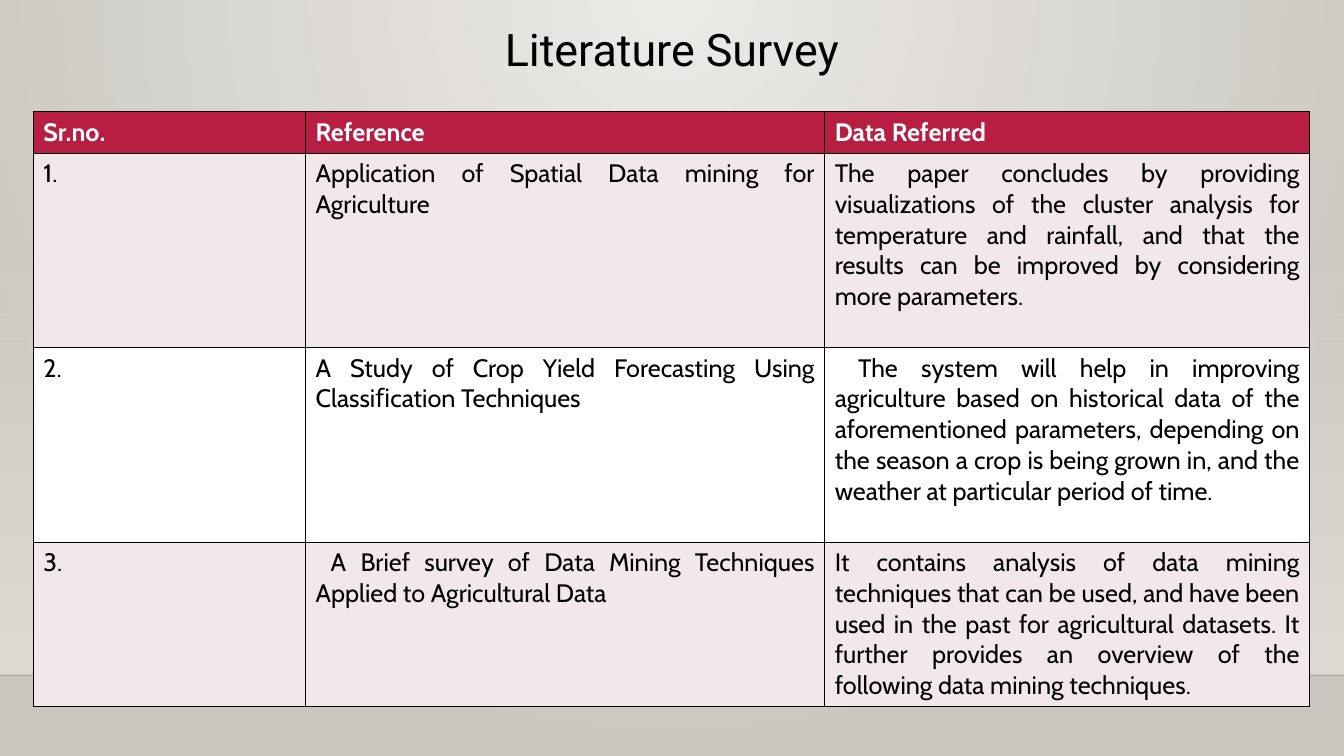
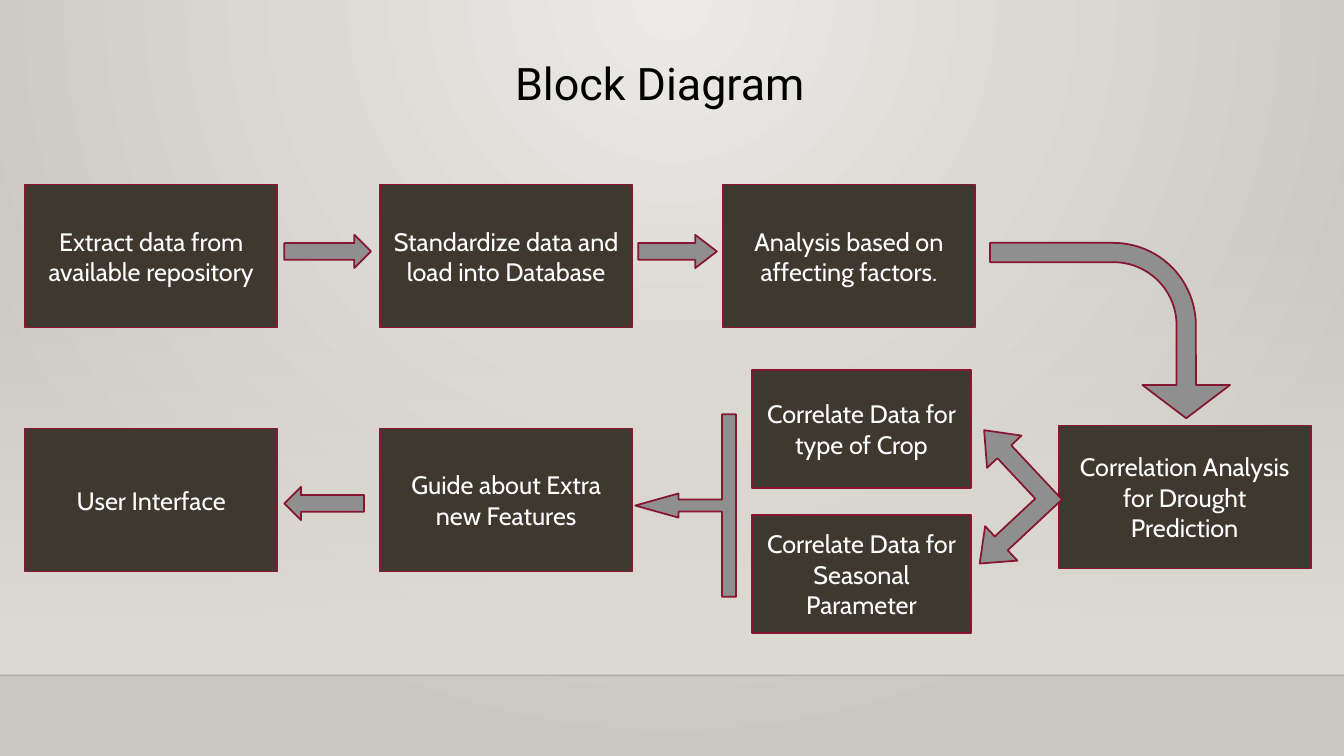
from lxml import etree
from pptx import Presentation
from pptx.dml.color import RGBColor
from pptx.enum.shapes import MSO_CONNECTOR, MSO_SHAPE
from pptx.enum.text import MSO_ANCHOR, PP_ALIGN
from pptx.oxml.ns import qn
from pptx.util import Emu, Pt

RECTANGLE = MSO_SHAPE.RECTANGLE
RIGHT_ARROW = MSO_SHAPE.RIGHT_ARROW
LEFT_ARROW = MSO_SHAPE.LEFT_ARROW
BENT_ARROW = MSO_SHAPE.BENT_ARROW
LEFT_UP_ARROW = MSO_SHAPE.LEFT_UP_ARROW
ARROW_CALLOUT = MSO_SHAPE.RIGHT_ARROW_CALLOUT
STRAIGHT = MSO_CONNECTOR.STRAIGHT
CENTER, JUSTIFY = PP_ALIGN.CENTER, PP_ALIGN.JUSTIFY
TOP, MIDDLE = MSO_ANCHOR.TOP, MSO_ANCHOR.MIDDLE

EMU_PER_PX = 9144  # 100 px to the inch
SLIDE_WIDTH, SLIDE_HEIGHT = 1333, 750
FLOOR_TOP = 670

BODY_FONT, TITLE_FONT = "Cabin", "Roboto"
BLACK, WHITE = "000000", "FFFFFF"
GLOW, EDGE, BAND = "ECEAE7", "CAC7C1", "DFDBD5"
FLOOR_LINE = "000001"
CRIMSON, BLUSH = "B71E42", "F3E8E9"
BLOCK_FILL, ARROW_FILL, OUTLINE = "3E382F", "8F8F8F", "871631"

SURVEY_COLUMNS = [270, 515, 481]
SURVEY_ROWS = [41, 193, 193, 162]
SURVEY = [
    ["Sr.no.", "Reference", "Data Referred"],
    ["1.", "Application of Spatial Data mining for Agriculture",
     "The paper concludes by providing visualizations of the cluster analysis "
     "for temperature and rainfall, and that the results can be improved by "
     "considering more parameters."],
    ["2.", "A Study of Crop Yield Forecasting Using Classiﬁcation Techniques",
     "The system will help in improving agriculture based on historical data "
     "of the aforementioned parameters, depending on the season a crop is "
     "being grown in, and the weather at particular period of time."],
    ["3.", "A Brief survey of Data Mining Techniques Applied to Agricultural Data",
     "It contains analysis of data mining techniques that can be used, and "
     "have been used in the past for agricultural datasets. It further "
     "provides an overview of the following data mining techniques."],
]
FIRST_LINE_INDENTS = {(2, 2): 23, (3, 1): 15}

LARGE_BLOCK, SMALL_BLOCK = (250, 142), (217, 117)
BLOCKS = [
    ("Extract data from available repository", 25, 183, LARGE_BLOCK),
    ("Standardize data and load into Database", 377, 183, LARGE_BLOCK),
    ("Analysis based on affecting factors.", 717, 183, LARGE_BLOCK),
    ("Correlation Analysis for Drought Prediction", 1050, 422, LARGE_BLOCK),
    ("Correlate Data for Seasonal Parameter", 746, 511, SMALL_BLOCK),
    ("Correlate Data for type of Crop", 746, 367, SMALL_BLOCK),
    ("Guide about Extra new Features", 377, 425, LARGE_BLOCK),
    ("User Interface", 25, 425, LARGE_BLOCK),
]
# preset, box, rotation, adjustments
ARROWS = [
    (RIGHT_ARROW, (282, 233, 86, 33), 0, []),
    (RIGHT_ARROW, (633, 233, 78, 33), 0, [0.5, 0.65]),
    (BENT_ARROW, (1014, 209, 174, 238), 90, [0.11, 0.25, 0.19, 0.47]),
    (LEFT_UP_ARROW, (932, 435, 117, 117), 316.9, [0.16, 0.2, 0.25]),
    (ARROW_CALLOUT, (630, 411, 100, 181), 180, [0.12, 0.12, 0.43, 0.14]),
    (LEFT_ARROW, (282, 483, 79, 33), 0, []),
]


def px(length):
    return Emu(length * EMU_PER_PX)


def rgb(color):
    return RGBColor.from_string(color)


def set_gradient(fill, start, end):
    fill.gradient()
    for stop, color, position in zip(fill.gradient_stops, (start, end), (0, 1)):
        stop.color.rgb = rgb(color)
        stop.position = position


def set_opacity(element, percent):
    """Make the first plain colour inside the element translucent."""
    color = next(element.iter(qn("a:srgbClr")))
    etree.SubElement(color, qn("a:alpha"), val=str(percent * 1000))


def write_text(frame, text, font=BODY_FONT, size=18, color=BLACK, bold=False,
               align=CENTER, anchor=TOP, wrap=True, indent=0):
    frame.word_wrap = wrap
    frame.vertical_anchor = anchor
    paragraph = frame.paragraphs[0]
    paragraph.alignment = align
    if indent:
        properties = paragraph._p.get_or_add_pPr()
        properties.set("marL", "0")
        properties.set("indent", str(px(indent)))
    run = paragraph.add_run()
    run.text = text
    run.font.name = font
    run.font.size = Pt(size)
    run.font.bold = bold
    run.font.color.rgb = rgb(color)


def add_preset(slide, preset, box, fill):
    shape = slide.shapes.add_shape(preset, *map(px, box))
    shape.shadow.inherit = False
    shape.fill.solid()
    shape.fill.fore_color.rgb = rgb(fill)
    shape.line.color.rgb = rgb(OUTLINE)
    shape.line.width = Pt(1.25)
    return shape


def set_master_background(master):
    """Radial glow that spreads from the middle of the top edge."""
    set_gradient(master.background.fill, GLOW, EDGE)
    gradient = next(master.element.iter(qn("a:gradFill")))
    gradient.remove(gradient.find(qn("a:lin")))
    circle = etree.SubElement(gradient, qn("a:path"), {"path": "circle"})
    etree.SubElement(circle, qn("a:fillToRect"),
                     l="43000", t="0", r="43000", b="100000")


def add_wall_and_floor(slide):
    band = slide.shapes.add_shape(
        RECTANGLE, 0, px(221), px(SLIDE_WIDTH), px(FLOOR_TOP - 221))
    band.shadow.inherit = False
    band.line.fill.background()
    set_gradient(band.fill, BAND, BAND)
    band.fill.gradient_angle = 270
    set_opacity(band._element.spPr, 0)

    line = slide.shapes.add_connector(
        STRAIGHT, 0, px(FLOOR_TOP), px(SLIDE_WIDTH), px(FLOOR_TOP))
    line.line.color.rgb = rgb(FLOOR_LINE)
    line.line.width = Pt(1)
    properties = line._element.spPr
    set_opacity(properties, 20)
    etree.SubElement(properties, qn("a:effectLst"))


def add_title(slide, text, box):
    title = slide.shapes.add_textbox(*map(px, box))
    write_text(title.text_frame, text, font=TITLE_FONT, size=32, wrap=False)


def add_themed_slide(presentation):
    slide = presentation.slides.add_slide(presentation.slide_layouts[6])
    add_wall_and_floor(slide)
    return slide


def set_cell_borders(cell):
    properties = cell._tc.get_or_add_tcPr()
    for position, side in enumerate(("lnL", "lnR", "lnT", "lnB")):
        border = etree.Element(qn(f"a:{side}"), w=str(Pt(1)))
        solid = etree.SubElement(border, qn("a:solidFill"))
        etree.SubElement(solid, qn("a:srgbClr"), val=BLACK)
        properties.insert(position, border)


def add_survey_table(slide, left, top):
    table = slide.shapes.add_table(
        len(SURVEY_ROWS), len(SURVEY_COLUMNS), px(left), px(top),
        px(sum(SURVEY_COLUMNS)), px(sum(SURVEY_ROWS))).table
    table.first_row = table.horz_banding = False
    for column, width in zip(table.columns, SURVEY_COLUMNS):
        column.width = px(width)
    for row, height in zip(table.rows, SURVEY_ROWS):
        row.height = px(height)
    for row_index, texts in enumerate(SURVEY):
        is_header = row_index == 0
        fill = CRIMSON if is_header else BLUSH if row_index % 2 else WHITE
        for column_index, text in enumerate(texts):
            cell = table.cell(row_index, column_index)
            cell.fill.solid()
            cell.fill.fore_color.rgb = rgb(fill)
            set_cell_borders(cell)
            write_text(cell.text_frame, text, bold=is_header, align=JUSTIFY,
                       color=WHITE if is_header else BLACK,
                       indent=FIRST_LINE_INDENTS.get((row_index, column_index), 0))


def add_block_diagram(slide, left, top):
    """Place blocks and arrows, offset from the given corner."""
    for text, x, y, size in BLOCKS:
        block = add_preset(slide, RECTANGLE, (left + x, top + y, *size), BLOCK_FILL)
        write_text(block.text_frame, text, color=WHITE, anchor=MIDDLE)
    for preset, (x, y, width, height), rotation, adjustments in ARROWS:
        arrow = add_preset(slide, preset, (left + x, top + y, width, height),
                           ARROW_FILL)
        arrow.rotation = rotation
        for index, value in enumerate(adjustments):
            arrow.adjustments[index] = value


def build_survey_slide(presentation):
    slide = add_themed_slide(presentation)
    add_survey_table(slide, 33, 111)
    add_title(slide, "Literature Survey", (487, 17, 359, 64))


def build_diagram_slide(presentation):
    slide = add_themed_slide(presentation)
    add_block_diagram(slide, 0, 0)
    add_title(slide, "Block Diagram", (499, 50, 311, 64))


def main():
    presentation = Presentation()
    presentation.slide_width = px(SLIDE_WIDTH)
    presentation.slide_height = px(SLIDE_HEIGHT)
    set_master_background(presentation.slide_master)
    build_survey_slide(presentation)
    build_diagram_slide(presentation)
    presentation.save("out.pptx")


if __name__ == "__main__":
    main()
